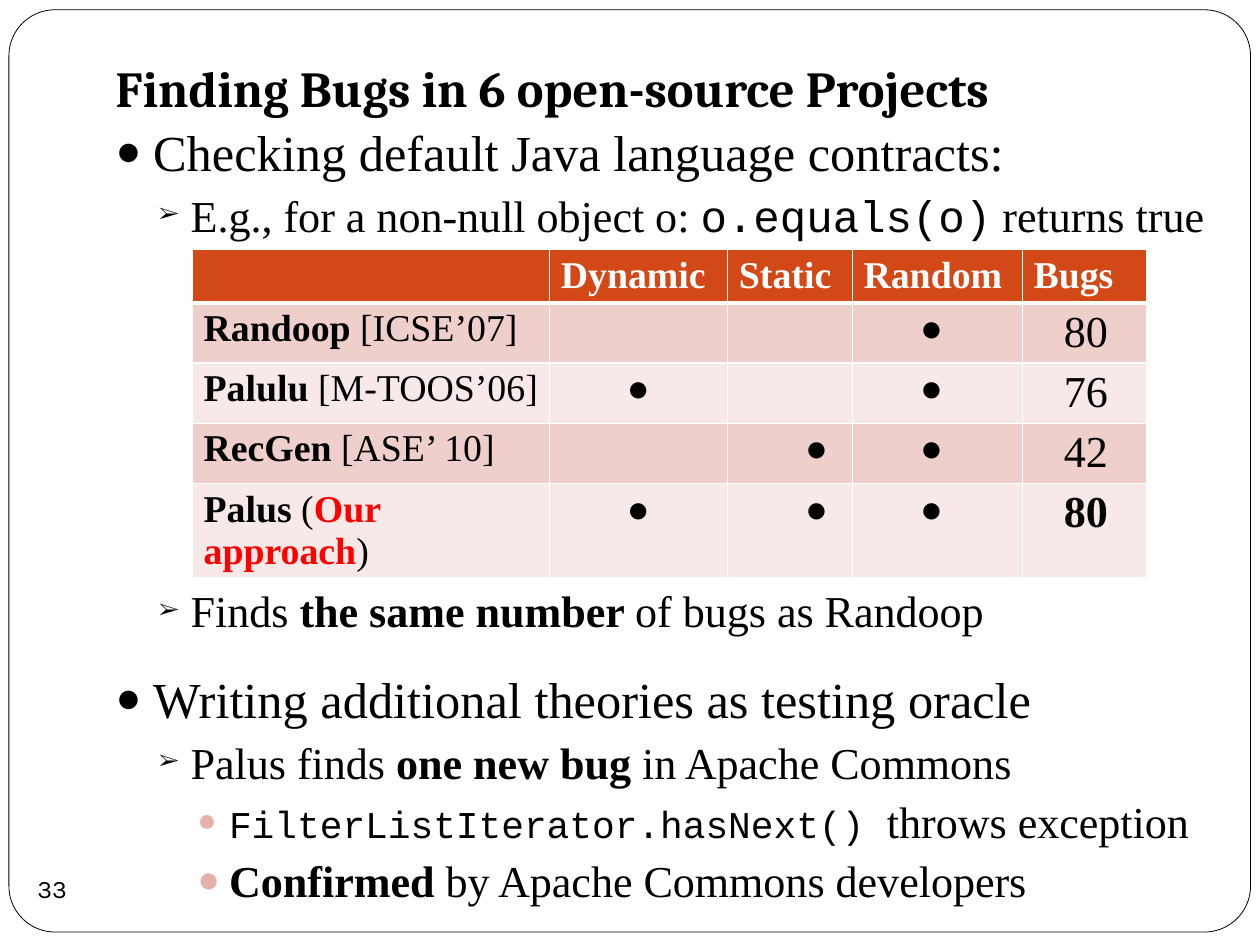
from dataclasses import dataclass

from lxml.etree import SubElement
from pptx import Presentation
from pptx.dml.color import RGBColor
from pptx.enum.shapes import MSO_SHAPE as Preset
from pptx.enum.text import MSO_ANCHOR as Anchor, MSO_AUTO_SIZE as AutoSize, PP_ALIGN as Align
from pptx.oxml.ns import qn
from pptx.util import Cm, Pt


@dataclass(frozen=True)
class Theme:
    black: str = "000000"
    white: str = "FFFFFF"
    red: str = "FF0000"
    header: str = "D34817"
    bands: tuple[str, str] = ("EFCFCC", "F7E9E8")
    pale_bullet: str = "E6B1AB"
    title_font: str = "Cambria"
    text_font: str = "Times New Roman"
    code_font: str = "Courier New"
    number_font: str = "Karla"
    large: int = 32
    medium: int = 28
    small: int = 24
    number: int = 16


THEME = Theme()


@dataclass(frozen=True)
class Span:
    text: str
    bold: bool = False
    font: str = THEME.text_font
    size: int | None = None
    color: str = THEME.black


@dataclass(frozen=True)
class Level:
    indent: float
    hanging: float
    bullet: str
    bullet_color: str
    bullet_percent: int
    size: int


@dataclass(frozen=True)
class Item:
    level: int
    spans: tuple[Span, ...]
    space_before: float = 4.1


@dataclass(frozen=True)
class Tool:
    name: tuple[Span, ...]
    techniques: tuple[bool, bool, bool]
    bugs: Span


LEVELS = (
    Level(0.84, 0.84, "●", THEME.black, 85, THEME.large),
    Level(1.68, 0.71, "➢", THEME.black, 50, THEME.medium),
    Level(2.54, 0.71, "●", THEME.pale_bullet, 85, THEME.medium),
)
# The third item starts below the table.
ITEMS = (
    Item(0, (Span("Checking default Java language contracts:"),), space_before=0),
    Item(1, (Span("E.g., for a non-null object o: "),
             Span("o.equals(o)", font=THEME.code_font), Span(" returns true"))),
    Item(1, (Span("Finds "), Span("the same number ", bold=True),
             Span("of bugs as Randoop")), space_before=217.5),
    Item(0, (Span("Writing additional theories as testing oracle"),), space_before=20),
    Item(1, (Span("Palus finds "), Span("one new bug ", bold=True),
             Span("in Apache Commons"))),
    Item(2, (Span("FilterListIterator.hasNext() ", font=THEME.code_font, size=THEME.small),
             Span("throws exception"))),
    Item(2, (Span("Confirmed", bold=True), Span(" by Apache Commons developers"))),
)

HEADINGS = ("", "Dynamic", "Static", "Random", "Bugs")
COLUMN_WIDTHS = (8, 3.99, 2.79, 3.81, 2.79)
ROW_HEIGHTS = (1.19, 1.35, 1.35, 1.35, 2.11)
DOT_MARGINS = (1.73, 1.73, 1.52)
TOOLS = (
    Tool((Span("Randoop", bold=True), Span(" [ICSE’07]")), (False, False, True), Span("80")),
    Tool((Span("Palulu", bold=True), Span(" [M-TOOS’06]")), (True, False, True), Span("76")),
    Tool((Span("RecGen", bold=True), Span(" [ASE’ 10]")), (False, True, True), Span("42")),
    Tool((Span("Palus", bold=True), Span(" ("),
          Span("Our approach", bold=True, color=THEME.red), Span(")")),
         (True, True, True), Span("80", bold=True)),
)


def place(shape, left: float, top: float, width: float, height: float) -> None:
    shape.left, shape.top, shape.width, shape.height = map(Cm, (left, top, width, height))


def set_margins(target, left: float, top: float, right: float, bottom: float) -> None:
    target.margin_left, target.margin_top = Cm(left), Cm(top)
    target.margin_right, target.margin_bottom = Cm(right), Cm(bottom)


def write_spans(paragraph, spans: tuple[Span, ...], size: int) -> None:
    for span in spans:
        run = paragraph.add_run()
        run.text = span.text
        run.font.name = span.font
        run.font.size = Pt(span.size or size)
        run.font.bold = span.bold
        run.font.color.rgb = RGBColor.from_string(span.color)


def set_bullet(paragraph, level: Level) -> None:
    properties = paragraph._p.get_or_add_pPr()
    properties.set("marL", str(Cm(level.indent)))
    properties.set("indent", str(-Cm(level.hanging)))
    color = SubElement(properties, qn("a:buClr"))
    SubElement(color, qn("a:srgbClr"), val=level.bullet_color)
    SubElement(properties, qn("a:buSzPct"), val=str(level.bullet_percent * 1000))
    SubElement(properties, qn("a:buFont"), typeface=THEME.text_font)
    SubElement(properties, qn("a:buChar"), char=level.bullet)


def style_cell(cell, fill: str, bottom_width: float = 1, top_width: float = 1) -> None:
    """Give a cell its fill, white borders and margins."""
    properties = cell._tc.get_or_add_tcPr()
    widths = {"a:lnL": 1, "a:lnR": 1, "a:lnT": top_width, "a:lnB": bottom_width}
    for side, width in widths.items():
        line = SubElement(properties, qn(side), w=str(Pt(width)))
        solid = SubElement(line, qn("a:solidFill"))
        SubElement(solid, qn("a:srgbClr"), val=THEME.white)
    cell.fill.solid()
    cell.fill.fore_color.rgb = RGBColor.from_string(fill)
    set_margins(cell, 0.25, 0.11, 0.2, 0.11)


def add_frame(slide) -> None:
    frame = slide.shapes.add_shape(Preset.ROUNDED_RECTANGLE,
                                   Cm(0.2), Cm(0.22), Cm(27.81), Cm(20.65))
    frame.adjustments[0] = 0.05
    frame.shadow.inherit = False
    frame.fill.solid()
    frame.fill.fore_color.rgb = RGBColor.from_string(THEME.white)
    frame.line.color.rgb = RGBColor.from_string(THEME.black)
    frame.line.width = Pt(0.5)
    frame.element.getparent().insert(2, frame.element)  # behind the placeholders


def fill_title(title) -> None:
    place(title, 2.31, -0.61, 23.98, 3.53)
    text_frame = title.text_frame
    text_frame.auto_size = AutoSize.NONE
    text_frame.vertical_anchor = Anchor.BOTTOM
    set_margins(text_frame, 0.28, 0.15, 0.28, 0.28)
    paragraph = text_frame.paragraphs[0]
    paragraph.alignment = Align.LEFT
    heading = Span("Finding Bugs in 6 open-source Projects", bold=True, font=THEME.title_font)
    write_spans(paragraph, (heading,), THEME.large)


def fill_body(body) -> None:
    place(body, 2.31, 2.56, 25, 14.12)
    text_frame = body.text_frame
    text_frame.auto_size = AutoSize.NONE
    text_frame.vertical_anchor = Anchor.TOP
    set_margins(text_frame, 0.28, 0.15, 0.28, 0.15)
    for index, item in enumerate(ITEMS):
        paragraph = text_frame.add_paragraph() if index else text_frame.paragraphs[0]
        paragraph.level = item.level
        paragraph.space_before = Pt(item.space_before)
        set_bullet(paragraph, LEVELS[item.level])
        write_spans(paragraph, item.spans, LEVELS[item.level].size)


def add_number(slide, number: str) -> None:
    badge = slide.shapes.add_shape(Preset.OVAL, Cm(0.46), Cm(19.18), Cm(1.42), Cm(1.42))
    badge.shadow.inherit = False
    badge.fill.background()
    badge.line.fill.background()
    text_frame = badge.text_frame
    text_frame.word_wrap = False
    text_frame.vertical_anchor = Anchor.MIDDLE
    set_margins(text_frame, 0, 0, 0, 0)
    paragraph = text_frame.paragraphs[0]
    paragraph.alignment = Align.CENTER
    write_spans(paragraph, (Span(number, font=THEME.number_font),), THEME.number)


def add_results(slide) -> None:
    table = slide.shapes.add_table(len(ROW_HEIGHTS), len(COLUMN_WIDTHS), Cm(4.31), Cm(5.59),
                                   Cm(sum(COLUMN_WIDTHS)), Cm(sum(ROW_HEIGHTS))).table
    for column, width in zip(table.columns, COLUMN_WIDTHS):
        column.width = Cm(width)
    for row, height in zip(table.rows, ROW_HEIGHTS):
        row.height = Cm(height)
    for cell, heading in zip(table.rows[0].cells, HEADINGS):
        style_cell(cell, THEME.header, bottom_width=3)
        if heading:
            span = Span(heading, bold=True, color=THEME.white)
            write_spans(cell.text_frame.paragraphs[0], (span,), THEME.small)
    for index, tool in enumerate(TOOLS):
        cells = list(table.rows[index + 1].cells)
        for cell in cells:
            style_cell(cell, THEME.bands[index % 2], top_width=1 if index else 3)
        write_spans(cells[0].text_frame.paragraphs[0], tool.name, THEME.small)
        for cell, used, margin in zip(cells[1:4], tool.techniques, DOT_MARGINS):
            if used:
                cell.margin_left = Cm(margin)
                write_spans(cell.text_frame.paragraphs[0], (Span("●"),), THEME.small)
        bugs = cells[4].text_frame.paragraphs[0]
        bugs.alignment = Align.CENTER
        write_spans(bugs, (tool.bugs,), THEME.medium)


def main() -> None:
    presentation = Presentation()
    presentation.slide_width, presentation.slide_height = Cm(28.22), Cm(21.16)
    slide = presentation.slides.add_slide(presentation.slide_layouts[1])
    add_frame(slide)
    fill_title(slide.shapes.title)
    fill_body(slide.placeholders[1])
    add_number(slide, "33")
    add_results(slide)
    presentation.save("out.pptx")


if __name__ == "__main__":
    main()
